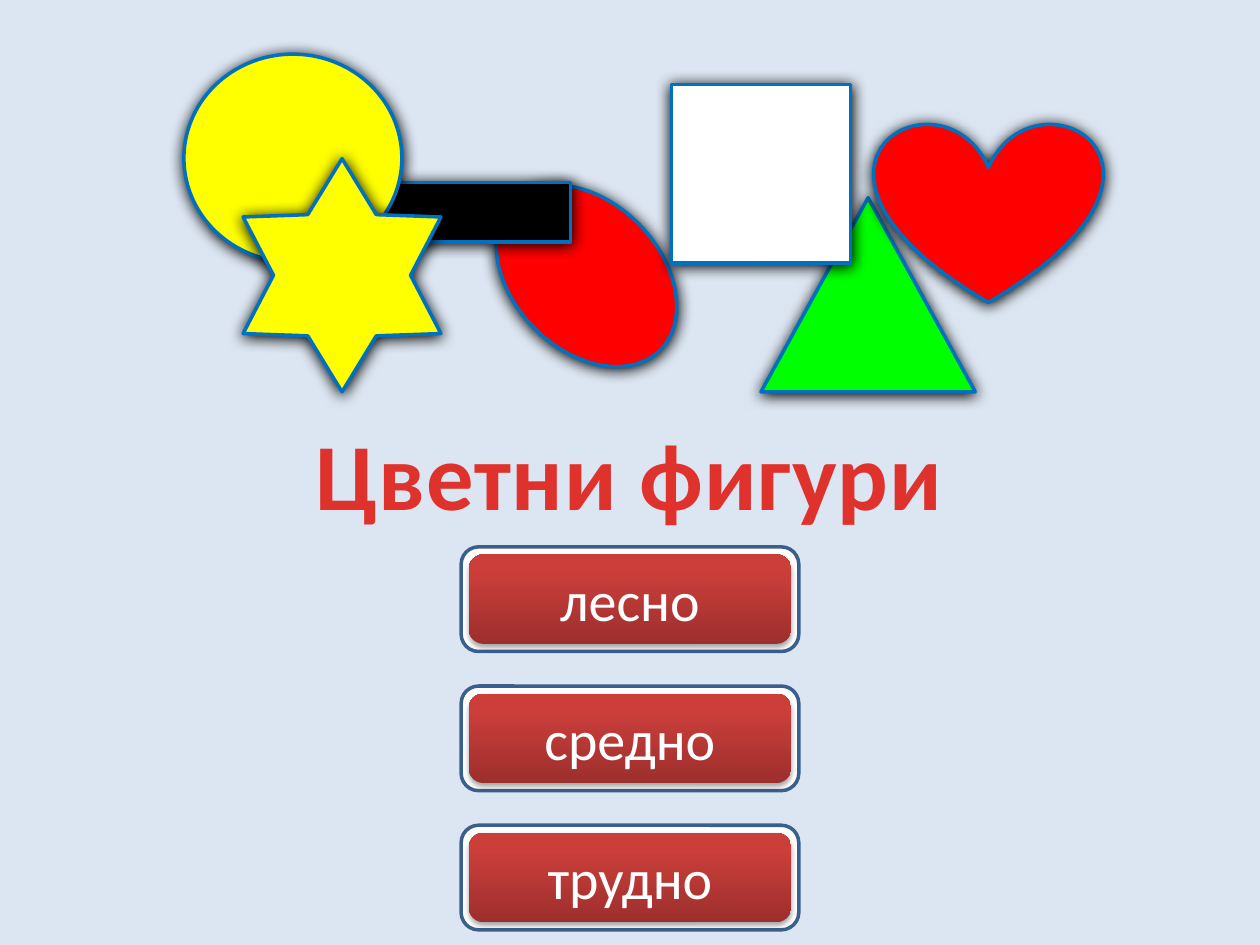
import dataclasses

import lxml.etree
import pptx
import pptx.dml.color
import pptx.enum.shapes
import pptx.enum.text
import pptx.oxml.ns
import pptx.util

KIND = pptx.enum.shapes.MSO_SHAPE
WIDE, HIGH = pptx.util.Inches(10), pptx.util.Inches(7.5)


@dataclasses.dataclass
class Box:
    x: float
    y: float
    w: float
    h: float

    def spans(self) -> list[int]:
        sides = (WIDE, HIGH, WIDE, HIGH)
        shares = (self.x, self.y, self.w, self.h)
        return [round(side * share / 100) for side, share in zip(sides, shares)]

    def inset(self, dx: float, dy: float) -> "Box":
        return Box(self.x + dx, self.y + dy, self.w - 2 * dx, self.h - 2 * dy)


@dataclasses.dataclass
class Toy:
    kind: KIND
    box: Box
    fill: str
    turn: float = 0
    point: float | None = None


@dataclasses.dataclass
class Shade:
    blur: float
    dist: float
    alpha: int


GLOW = Shade(8.5, 1, 100)
DROP = Shade(3.1, 1.8, 35)

TOYS = [
    Toy(KIND.OVAL, Box(40.7, 18.13, 11.7, 22.13), "FF0000", turn=315.5),
    Toy(KIND.RECTANGLE, Box(25.6, 19.33, 19.7, 6.27), "000000"),
    Toy(KIND.OVAL, Box(14.6, 5.73, 17.3, 22), "FFFF00"),
    Toy(KIND.STAR_6_POINT, Box(19.3, 16.8, 15.7, 24.67), "FFFF00", point=0.3),
    Toy(KIND.ISOSCELES_TRIANGLE, Box(60.4, 20.93, 17, 20.53), "00FF00"),
    Toy(KIND.RECTANGLE, Box(53.3, 8.93, 14.2, 18.93), "FFFFFF"),
    Toy(KIND.HEART, Box(69.4, 12.93, 18.1, 19.07), "FF0000"),
]
LEVELS = ["лесно", "средно", "трудно"]
FIRST = Box(36.6, 57.87, 26.8, 11.07)
STEP = 14.73


def tint(code: str) -> pptx.dml.color.RGBColor:
    return pptx.dml.color.RGBColor.from_string(code)


def draw(shapes, kind: KIND, box: Box, fill: str, line: str | None):
    shape = shapes.add_shape(kind, *box.spans())
    shape.shadow.inherit = False
    shape.fill.solid()
    shape.fill.fore_color.rgb = tint(fill)
    if line:
        shape.line.color.rgb = tint(line)
        shape.line.width = pptx.util.Pt(2)
    else:
        shape.line.fill.background()
    return shape


def cast(shape, shade: Shade) -> None:
    name = pptx.oxml.ns.qn
    effects = shape._element.spPr.find(name("a:effectLst"))
    outer = lxml.etree.SubElement(
        effects,
        name("a:outerShdw"),
        blurRad=str(pptx.util.Pt(shade.blur)),
        dist=str(pptx.util.Pt(shade.dist)),
        dir="5400000",
        algn="ctr",
        rotWithShape="0",
    )
    color = lxml.etree.SubElement(outer, name("a:srgbClr"), val="000000")
    lxml.etree.SubElement(color, name("a:alpha"), val=str(shade.alpha * 1000))


def write(frame, text: str, size: float, color: str, bold: bool = False) -> None:
    frame.vertical_anchor = pptx.enum.text.MSO_ANCHOR.MIDDLE
    para = frame.paragraphs[0]
    para.text = text
    para.alignment = pptx.enum.text.PP_ALIGN.CENTER
    para.font.name = "Calibri"
    para.font.size = pptx.util.Pt(size)
    para.font.bold = bold
    para.font.color.rgb = tint(color)


def add_toy(shapes, toy: Toy) -> None:
    shape = draw(shapes, toy.kind, toy.box, toy.fill, "0070C0")
    shape.rotation = toy.turn
    if toy.point is not None:
        shape.adjustments[0] = toy.point
    cast(shape, GLOW)


def add_level(shapes, text: str, box: Box) -> None:
    group = shapes.add_group_shape()
    draw(group.shapes, KIND.ROUNDED_RECTANGLE, box, "FFFFFF", "3A5F8C")
    face = draw(group.shapes, KIND.ROUNDED_RECTANGLE, box.inset(0.6, 0.8), "CB3E3A", None)
    face.fill.gradient()
    face.fill.gradient_angle = 90
    for stop, (place, code) in zip(face.fill.gradient_stops, [(0, "9C2F2D"), (0.8, "CB3E3A")]):
        stop.position = place
        stop.color.rgb = tint(code)
    cast(face, DROP)
    write(face.text_frame, text, 32, "FFFFFF")


def add_title(title, text: str, box: Box) -> None:
    title.left, title.top, title.width, title.height = box.spans()
    frame = title.text_frame
    write(frame, text, 54, "E0322D", bold=True)
    frame.word_wrap = False
    frame.auto_size = pptx.enum.text.MSO_AUTO_SIZE.SHAPE_TO_FIT_TEXT
    frame.paragraphs[0].runs[0]._r.get_or_add_rPr().set("spc", "50")


def main() -> None:
    deck = pptx.Presentation()
    deck.slide_width, deck.slide_height = WIDE, HIGH
    slide = deck.slides.add_slide(deck.slide_layouts[5])
    back = slide.background.fill
    back.solid()
    back.fore_color.rgb = tint("DCE6F2")

    for toy in TOYS:
        add_toy(slide.shapes, toy)
    add_title(slide.shapes.title, "Цветни фигури", Box(23.8, 43.33, 52.3, 13.47))
    for row, text in enumerate(LEVELS):
        box = dataclasses.replace(FIRST, y=FIRST.y + row * STEP)
        add_level(slide.shapes, text, box)

    deck.save("out.pptx")


if __name__ == "__main__":
    main()
